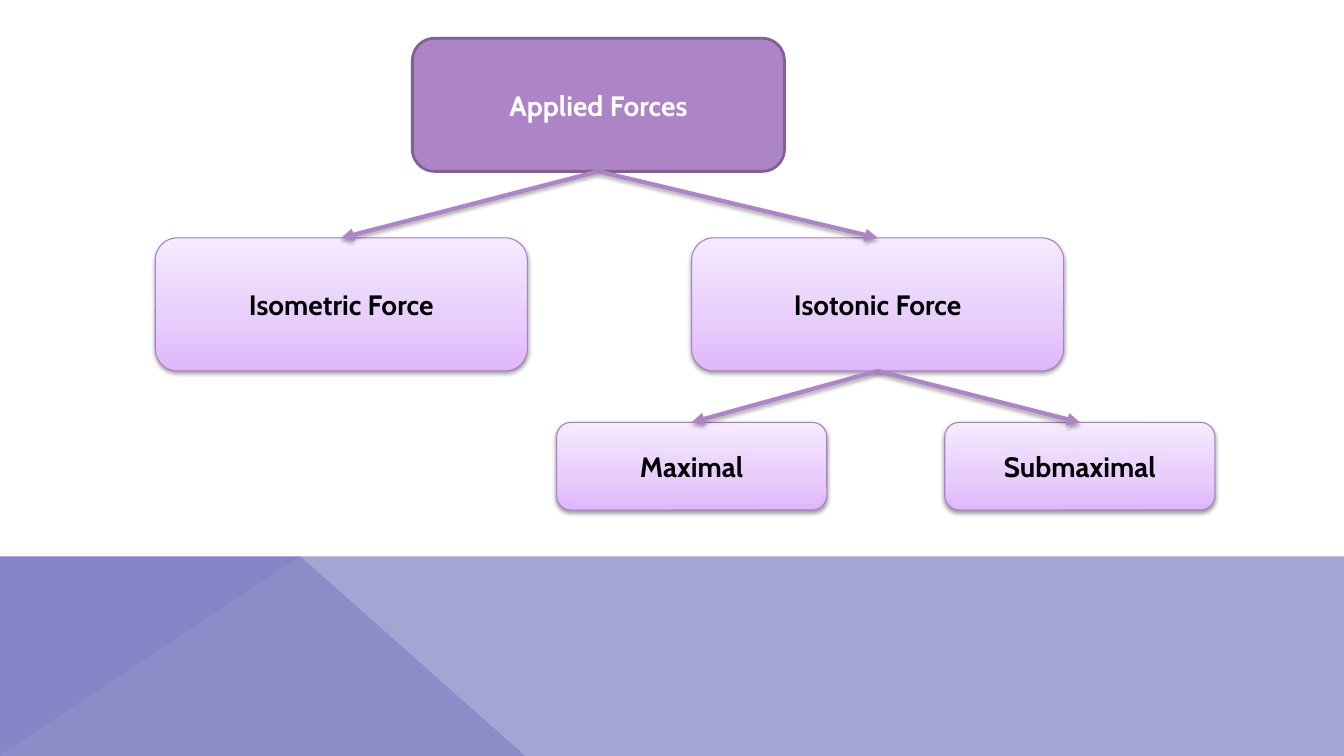
from copy import deepcopy

from pptx import Presentation
from pptx.dml.color import RGBColor
from pptx.enum.shapes import MSO_CONNECTOR, MSO_SHAPE
from pptx.enum.text import MSO_ANCHOR, PP_ALIGN
from pptx.oxml.ns import qn
from pptx.util import Inches, Pt
from lxml import etree

ROUND = MSO_SHAPE.ROUNDED_RECTANGLE
STRAIGHT = MSO_CONNECTOR.STRAIGHT
MIDDLE = MSO_ANCHOR.MIDDLE
CENTER = PP_ALIGN.CENTER

WHITE = RGBColor(0xFF, 0xFF, 0xFF)
BLACK = RGBColor(0, 0, 0)
MAUVE = RGBColor(0xAD, 0x84, 0xC6)
PLUM = RGBColor(0x80, 0x62, 0x92)
EDGE = RGBColor(0xAA, 0x7F, 0xC3)
INDIGO = RGBColor(0x87, 0x84, 0xC7)
HAZE = RGBColor(0x8F, 0x8F, 0xCA)
FADE = [(0, RGBColor(0xDF, 0xB7, 0xFC)),
        (0.35, RGBColor(0xE7, 0xCC, 0xFC)),
        (1, RGBColor(0xF6, 0xEA, 0xFF))]

BIG = (3.69, 1.32)
SMALL = (2.68, 0.87)
# Name: left, top, size, parent
TREE = {
    "Applied Forces": (4.09, 0.38, BIG, None),
    "Isotonic Force": (6.86, 2.36, BIG, "Applied Forces"),
    "Isometric Force": (1.54, 2.36, BIG, "Applied Forces"),
    "Maximal": (5.52, 4.19, SMALL, "Isotonic Force"),
    "Submaximal": (9.37, 4.19, SMALL, "Isotonic Force"),
}


def add_node(parent, tag, **attrs):
    node = etree.SubElement(parent, qn(tag))
    for key, value in attrs.items():
        node.set(key, str(value))
    return node


def add_shadow(part, alpha, dist):
    props = part._element.spPr
    for old in props.findall(qn("a:effectLst")):
        props.remove(old)
    glow = add_node(add_node(props, "a:effectLst"), "a:outerShdw",
                    blurRad=Pt(3.1), dist=Pt(dist), dir=90 * 60000, rotWithShape=0)
    color = add_node(glow, "a:srgbClr", val=BLACK)
    add_node(color, "a:alpha", val=alpha * 1000)


def add_facet(slide, points, color, alpha=None):
    points = [(Inches(x), Inches(y)) for x, y in points]
    pen = slide.shapes.build_freeform(*points[0], scale=1)
    pen.add_line_segments(points[1:], close=True)
    facet = pen.convert_to_shape()
    facet.shadow.inherit = False
    facet.fill.solid()
    facet.fill.fore_color.rgb = color
    facet.line.fill.background()
    if alpha:
        rgb = facet._element.spPr.find(qn("a:solidFill"))[0]
        add_node(rgb, "a:alpha", val=alpha * 1000)


def add_band(slide, left, top, width, height):
    right, base = left + width, top + height
    peak = left + 2.98
    add_facet(slide, [(left, base), (left, top), (peak, top), (left + 5.21, base)], INDIGO)
    add_facet(slide, [(left, base), (peak, top), (right, top), (right, base)], HAZE, 80)


def fill_fade(shape):
    shape.fill.gradient()
    stops = shape._element.spPr.find(".//" + qn("a:gsLst"))
    stops.insert(1, deepcopy(stops[0]))
    for stop, (place, color) in zip(shape.fill.gradient_stops, FADE):
        stop.position = place
        stop.color.rgb = color
    shape.fill.gradient_angle = 90


def add_box(slide, text, left, top, size, root):
    box = slide.shapes.add_shape(ROUND, *map(Inches, (left, top, *size)))
    box.shadow.inherit = False
    box.line.color.rgb = PLUM if root else EDGE
    box.line.width = Pt(2 if root else 0.75)
    if root:
        box.fill.solid()
        box.fill.fore_color.rgb = MAUVE
    else:
        fill_fade(box)
        add_shadow(box, 38, 1.6)
    # Label
    frame = box.text_frame
    frame.word_wrap = True
    frame.vertical_anchor = MIDDLE
    label = frame.paragraphs[0]
    label.text = text
    label.alignment = CENTER
    style = {"name": "Cabin", "size": Pt(20), "bold": True}
    for key, value in style.items():
        setattr(label.font, key, value)
    label.font.color.rgb = WHITE if root else BLACK
    return box


def add_arrow(slide, start, end):
    arrow = slide.shapes.add_connector(STRAIGHT, 0, 0, 0, 0)
    arrow.begin_connect(start, 2)
    arrow.end_connect(end, 0)
    arrow.line.color.rgb = MAUVE
    arrow.line.width = Pt(3)
    add_node(arrow.line._get_or_add_ln(), "a:tailEnd", type="triangle")
    add_shadow(arrow, 35, 1.8)


def add_tree(slide, left, top):
    boxes = {name: add_box(slide, name, left + x, top + y, size, parent is None)
             for name, (x, y, size, parent) in TREE.items()}
    for name, (_, _, _, parent) in TREE.items():
        if parent:
            add_arrow(slide, boxes[parent], boxes[name])


def main():
    deck = Presentation()
    deck.slide_width, deck.slide_height = Inches(13.33), Inches(7.5)
    slide = deck.slides.add_slide(deck.slide_layouts[6])
    add_band(slide, 0, 5.52, 13.33, 1.98)
    add_tree(slide, 0, 0)
    deck.save("out.pptx")


if __name__ == "__main__":
    main()
